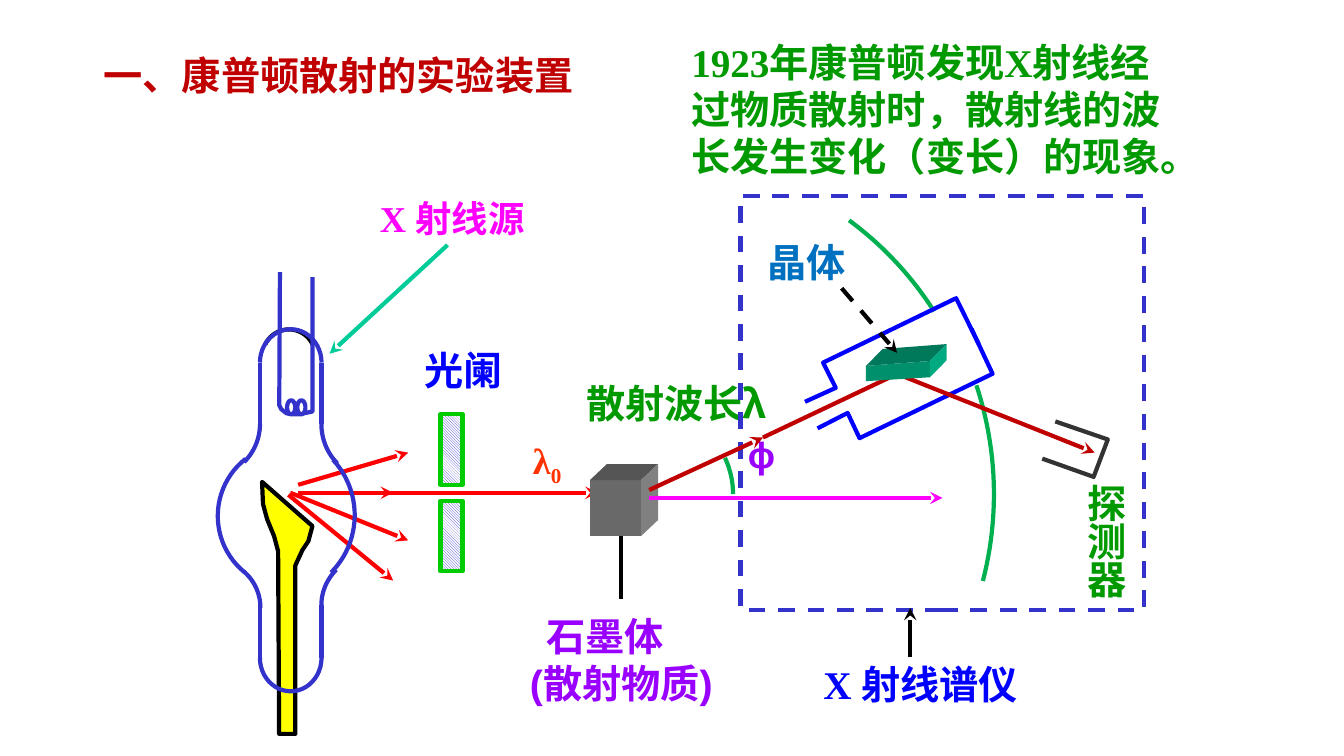
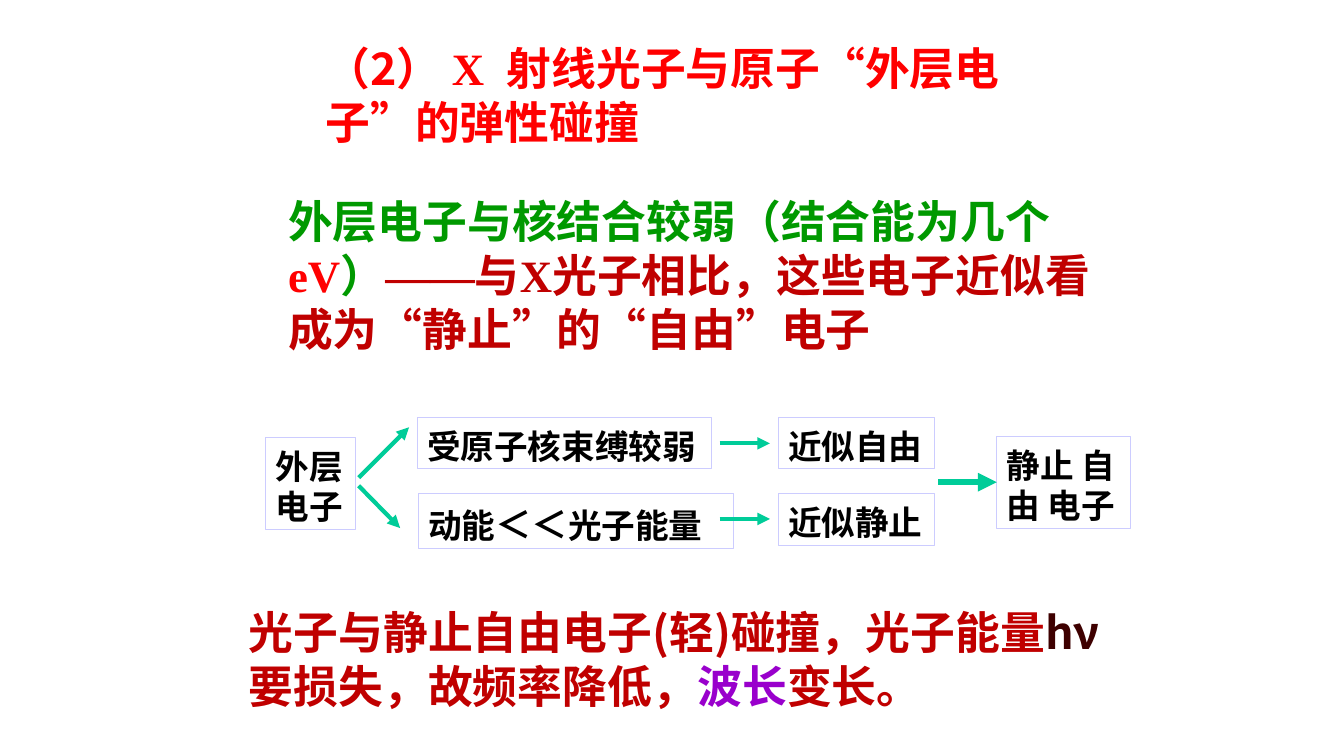
import dataclasses
import math

import lxml.etree
import pptx
import pptx.dml.color
import pptx.enum.dml
import pptx.enum.shapes
import pptx.enum.text
import pptx.oxml.ns
import pptx.util

Pt = pptx.util.Pt
RGB = pptx.dml.color.RGBColor
qn = pptx.oxml.ns.qn
DASH = pptx.enum.dml.MSO_LINE.DASH
RECTANGLE = pptx.enum.shapes.MSO_SHAPE.RECTANGLE

# Colours
BLACK = RGB(0x00, 0x00, 0x00)
WHITE = RGB(0xFF, 0xFF, 0xFF)
DARK_RED = RGB(0xC0, 0x00, 0x00)
RED = RGB(0xFF, 0x00, 0x00)
ORANGE = RGB(0xFF, 0x33, 0x00)
BROWN = RGB(0x3E, 0x00, 0x00)
GREEN = RGB(0x00, 0x99, 0x00)
ARC_GREEN = RGB(0x00, 0xB0, 0x50)
PLATE_GREEN = RGB(0x00, 0xCC, 0x00)
TEAL = RGB(0x00, 0xCC, 0x99)
BLUE = RGB(0x00, 0x00, 0xFF)
GLASS_BLUE = RGB(0x33, 0x33, 0xCC)
CRYSTAL_BLUE = RGB(0x00, 0x70, 0xC0)
PURPLE = RGB(0x99, 0x00, 0xFF)
VIOLET = RGB(0x99, 0x00, 0xCC)
MAGENTA = RGB(0xFF, 0x00, 0xFF)
YELLOW = RGB(0xFF, 0xFF, 0x00)
CHARCOAL = RGB(0x33, 0x33, 0x33)
BOX_LINE = RGB(0xCC, 0xCC, 0xFF)
# Faces of a solid block: front, top, side
GRAPHITE = (RGB(0x69, 0x69, 0x69), RGB(0x55, 0x55, 0x55), RGB(0x80, 0x80, 0x80))
CRYSTAL = (RGB(0x00, 0x90, 0x6C), RGB(0x00, 0x78, 0x5A), RGB(0x00, 0xAA, 0x80))

# Fonts
SERIF = "Times New Roman"
SANS = "Arial"
CJK = "Noto Sans CJK SC"
LEADING = 1.2


@dataclasses.dataclass
class Run:
    text: str
    color: RGB
    size: float = 28
    font: str = SERIF
    east_asian: str = CJK
    baseline: int = 0
    spacing: int = 0


def arc(center_x, center_y, radius_x, radius_y, start, end):
    """Points of an elliptical arc; degrees run clockwise from the right."""
    steps = 24
    angles = [math.radians(start + (end - start) * i / steps) for i in range(steps + 1)]
    return [(center_x + radius_x * math.cos(a), center_y + radius_y * math.sin(a))
            for a in angles]


def fill_text(shape, paragraphs, leading=LEADING, margin=7.2, indents=()):
    frame = shape.text_frame
    frame.word_wrap = True
    frame.auto_size = pptx.enum.text.MSO_AUTO_SIZE.NONE
    frame.vertical_anchor = pptx.enum.text.MSO_ANCHOR.TOP
    frame.margin_left = frame.margin_right = Pt(margin)
    frame.margin_top = Pt(6 if margin else 2)
    frame.margin_bottom = 0
    for index, runs in enumerate(paragraphs):
        paragraph = frame.paragraphs[0] if index == 0 else frame.add_paragraph()
        paragraph.alignment = pptx.enum.text.PP_ALIGN.LEFT
        paragraph.line_spacing = Pt(round(leading * max(r.size for r in runs), 1))
        if index < len(indents):
            paragraph._p.get_or_add_pPr().set("marL", str(Pt(indents[index])))
        for item in runs:
            run = paragraph.add_run()
            run.text = item.text
            font = run.font
            font.name, font.size, font.bold = item.font, Pt(item.size), True
            font.color.rgb = item.color
            properties = font._element
            lxml.etree.SubElement(properties, qn("a:ea"), typeface=item.east_asian)
            if item.baseline:
                properties.set("baseline", str(item.baseline * 1000))
            if item.spacing:
                properties.set("spc", str(item.spacing * 100))


class Region:
    """Draws in points, measured from the corner of one area of a slide."""

    def __init__(self, slide, left, top):
        self.shapes, self.left, self.top = slide.shapes, left, top

    def place(self, x, y):
        return Pt(self.left + x), Pt(self.top + y)

    def text(self, x, y, width, height, *paragraphs, **style):
        shape = self.shapes.add_textbox(*self.place(x, y), Pt(width), Pt(height))
        fill_text(shape, paragraphs, **style)

    def rectangle(self, x, y, width, height, line, weight=3):
        shape = self.shapes.add_shape(RECTANGLE, *self.place(x, y), Pt(width), Pt(height))
        shape.shadow.inherit = False
        shape.fill.background()
        shape.line.color.rgb, shape.line.width = line, Pt(weight)
        return shape

    def line(self, start, end, color, arrow=None, weight=3, dash=None):
        connector = self.shapes.add_connector(
            pptx.enum.shapes.MSO_CONNECTOR.STRAIGHT, *self.place(*start), *self.place(*end))
        connector.line.color.rgb, connector.line.width = color, Pt(weight)
        if dash:
            connector.line.dash_style = dash
        if arrow:
            lxml.etree.SubElement(connector.line._get_or_add_ln(), qn("a:tailEnd"), type=arrow)
        lxml.etree.SubElement(connector._element.spPr, qn("a:effectLst"))
        return connector

    def outline(self, points, line=None, fill=None):
        first, *others = [self.place(*point) for point in points]
        builder = self.shapes.build_freeform(*first)
        builder.add_line_segments(others, close=fill is not None)
        shape = builder.convert_to_shape()
        shape.shadow.inherit = False
        if fill is None:
            shape.fill.background()
        else:
            shape.fill.solid()
            shape.fill.fore_color.rgb = fill
        if line is None:
            shape.line.fill.background()
        else:
            shape.line.color.rgb, shape.line.width = line, Pt(3)

    def block(self, front, depth, colors):
        """A solid seen from above right; front runs clockwise from top left."""
        back = [(x + depth[0], y + depth[1]) for x, y in front]
        faces = (front,
                 [front[0], back[0], back[1], front[1]],
                 [front[1], back[1], back[2], front[2]])
        for face, color in zip(faces, colors):
            self.outline(face, fill=color)


# Slide 1: experiment
def draw_diaphragm(slide, left, top):
    region = Region(slide, left, top)
    region.text(0, 0, 72, 41, [Run("光阑", BLUE, font="TeX Gyre Bonum")])
    for y in (54.7, 116.6):
        plate = region.rectangle(18.6, y, 15.8, 50.4, PLATE_GREEN)
        plate.fill.patterned()
        plate.fill.pattern = pptx.enum.dml.MSO_PATTERN.LIGHT_DOWNWARD_DIAGONAL
        plate.fill.fore_color.rgb = GLASS_BLUE
        plate.fill.back_color.rgb = WHITE


def draw_tube(slide, left, top):
    region = Region(slide, left, top)
    # Rays leaving the anode
    for start, end in (((58, 158), (272, 158)), ((52.4, 158), (136.6, 192)),
                       ((58, 158), (125.8, 158)), ((51, 159.5), (125.8, 220.7)),
                       ((58, 152.3), (136.6, 129.3))):
        region.line(start, end, RED, "stealth")
    # Filament with two loops
    region.outline(arc(51.4, 60, 18.7, 18.7, -155, -25), BLACK)
    region.outline([(68.2, 4), (68.2, 100)]
                   + arc(60.3, 97, 2.9, 5, 60, 450) + arc(53, 97, 2.9, 5, 90, 450)
                   + [(49.5, 101.2), (45.9, 98.3), (44.5, 95.4), (45, 0.4)], GLASS_BLUE)
    # Anode
    region.outline([(32.2, 150.2), (32.9, 166), (35.8, 176.8), (40.8, 189), (43.7, 199.8),
                    (44.4, 330.2), (56, 330.2), (56, 209.9), (61, 199), (65.3, 192.6),
                    (68.2, 181.8)], BLACK, YELLOW)
    # Glass: bulb, four necks, two caps, straight walls
    for curve in ((52.4, 174.6, 51.8, 51.8, 129, 232), (43, 174, 55.4, 57, -44, 46),
                  (-3, 240, 34, 34, -49, 0), (-9.6, 109, 40.3, 39, 0, 44),
                  (112, 109, 37.4, 39, 134, 180), (120, 238, 45.4, 39, 180, 220),
                  (52.7, 65, 22, 23.8, 180, 360), (52.7, 276, 22, 23.8, 0, 180)):
        region.outline(arc(*curve), GLASS_BLUE)
    for x in (30.7, 74.7):
        for upper, lower in ((65, 109), (238, 276)):
            region.line((x, upper), (x, lower), GLASS_BLUE)
    # Label
    region.text(109.2, -60, 120, 68, [Run("X ", MAGENTA, 26), Run("射线源", MAGENTA, 26, CJK)])
    region.line((164.7, -19), (80.4, 58.7), TEAL, "stealth")


def draw_graphite(slide, left, top):
    region = Region(slide, left, top)
    region.text(-47.8, -31.9, 44, 39,
                [Run("λ", ORANGE, 26), Run("0", ORANGE, 26, baseline=-25)])
    region.text(-9.6, -77.9, 174, 41, [Run("散射波长λ", GREEN, font=CJK)])
    region.line((22.1, 84.8), (22.1, 30.8), BLACK, "stealth")
    region.block([(0, 0), (36.5, 0), (36.5, 40), (0, 40)], (12.1, -11.4), GRAPHITE)
    region.text(-49.9, 88.4, 147, 105, [Run("石墨体", PURPLE, font=SANS)],
                [Run("(散射物质)", PURPLE, font=SANS)], indents=(11.5,))


def draw_spectrometer(slide, left, top, width, height):
    region = Region(slide, left, top)
    region.rectangle(0, 0, width, height, GLASS_BLUE).line.dash_style = DASH
    region.line((121.2, 329.4), (121.2, 294.2), BLACK, "stealth")
    region.text(52, 329.4, 177, 39, [Run("X ", BLUE), Run("射线谱仪", BLUE, font=SANS)],
                leading=LEADING * 0.9)
    # Scattering angle and circular track
    for radius, start, end in ((61.3, -25, 0), (247.7, -18.3, 14.5), (243, -53.6, -32.5)):
        region.outline(arc(-66.7, 213, radius, radius, start, end), ARC_GREEN)
    region.text(5.2, 166.7, 22, 31, [Run("ϕ", PURPLE, 26, SANS)], margin=0)
    # Collimator and detector
    region.outline([(46, 147), (68, 137), (59, 119), (154, 73), (170, 105.5)], BLUE)
    region.outline([(55, 166), (76.5, 155), (85, 173), (180, 127), (165, 95)], BLUE)
    region.outline([(215.5, 187.6), (252.2, 200.6), (262.3, 173.9), (224.8, 161)], CHARCOAL)
    region.text(240.7, 203.4, 43.2, 89, *([Run(c, GREEN, font=SANS)] for c in "探测器"),
                leading=LEADING * 0.8)
    # Beams
    region.line((-65.3, 215.7), (144.2, 215.7), MAGENTA, "stealth")
    region.line((111.8, 127.1), (252.9, 183.3), DARK_RED, "stealth")
    region.line((16, 172.5), (111.8, 127.1), DARK_RED)
    region.line((-65.3, 210), (16, 172.5), DARK_RED, "stealth")
    # Crystal
    region.block([(89.6, 121.4), (135.3, 117.9), (135.3, 129.5), (89.6, 132.3)],
                 (11.9, -12.1), CRYSTAL)
    region.text(12.4, 24.2, 72, 41, [Run("晶体", CRYSTAL_BLUE, font=SANS)])
    region.line((72.2, 65.9), (111.8, 112), BLACK, "stealth", dash=DASH)


def build_experiment(slide):
    page = Region(slide, 0, 0)
    page.text(67, 31, 513, 41, [Run("一、康普顿散射的实验装置", DARK_RED, font=SANS)])
    draw_diaphragm(slide, 296, 241.2)
    draw_tube(slide, 155, 194)
    draw_graphite(slide, 421.4, 342.9)
    draw_spectrometer(slide, 529, 140, 288, 296)
    page.text(486.7, 21.6, 368, 109, [Run(
        "1923年康普顿发现X射线经过物质散射时，散射线的波长发生变化（变长）的现象。", GREEN)])


# Slide 2: collision with outer electrons
def draw_reasoning(slide, left, top):
    region = Region(slide, left, top)

    def step(x, y, width, height, *paragraphs):
        shape = region.rectangle(x, y, width, height, BOX_LINE, 0.75)
        fill_text(shape, paragraphs)
        return shape

    def words(text, size=24):
        return Run(text, BLACK, size)

    step(0, 14.4, 64, 65.5, [words("外层")], [words("电子")])
    step(108, 0, 210, 36.7, [words("受原子核束缚较弱")])
    step(108.7, 54.7, 225.4, 38.9, [words("动能"), words("＜＜", 26), words("光子能量")])
    for y, text in ((0, "近似自由"), (54.7, "近似静止")):
        step(365.8, y, 112, 36.7, [words(text)])
    result = step(522, 13.7, 95.8, 65.5, [words("静止 自由 电子")])
    for start, end in (((66.2, 43.2), (102.2, 7.2)), ((66.2, 49), (95.8, 79.2)),
                       ((324, 18.7), (360, 18.7)), ((324, 72.7), (360, 72.7))):
        region.line(start, end, TEAL, "triangle")
    conclusion = region.line((480.2, 46.45), (522, 46.45), TEAL, "triangle", 4.5)
    conclusion.end_connect(result, 1)


def build_collision(slide):
    page = Region(slide, 0, 0)
    page.text(225.4, 23, 566, 85, [
        Run("（2） ", RED, 32, CJK), Run("X", RED, 32), Run(" ", RED, 32, spacing=8),
        Run("射线光子与原子“外层电子”的弹性碰撞", RED, 32)])
    page.text(198.7, 132.5, 602, 124, [
        Run("外层电子与核结合较弱（结合能为几个", GREEN, 32), Run("eV", RED, 32),
        Run("）", GREEN, 32), Run("——", DARK_RED, 32, east_asian=SERIF),
        Run("与X光子相比，这些电子近似看成为“静止”的“自由”电子", DARK_RED, 32)])
    draw_reasoning(slide, 190, 298)
    page.text(170.6, 426.2, 630, 85, [
        Run("光子与静止自由电子(轻)碰撞，光子能量", DARK_RED, 32, CJK),
        Run("hν", BROWN, 32, CJK), Run("要损失，故频率降低，", DARK_RED, 32, CJK),
        Run("波长", VIOLET, 32), Run("变长。", DARK_RED, 32, CJK)])


def main():
    presentation = pptx.Presentation()
    presentation.slide_width, presentation.slide_height = Pt(960), Pt(540)
    for build in (build_experiment, build_collision):
        build(presentation.slides.add_slide(presentation.slide_layouts[6]))
    presentation.save("out.pptx")


if __name__ == "__main__":
    main()
